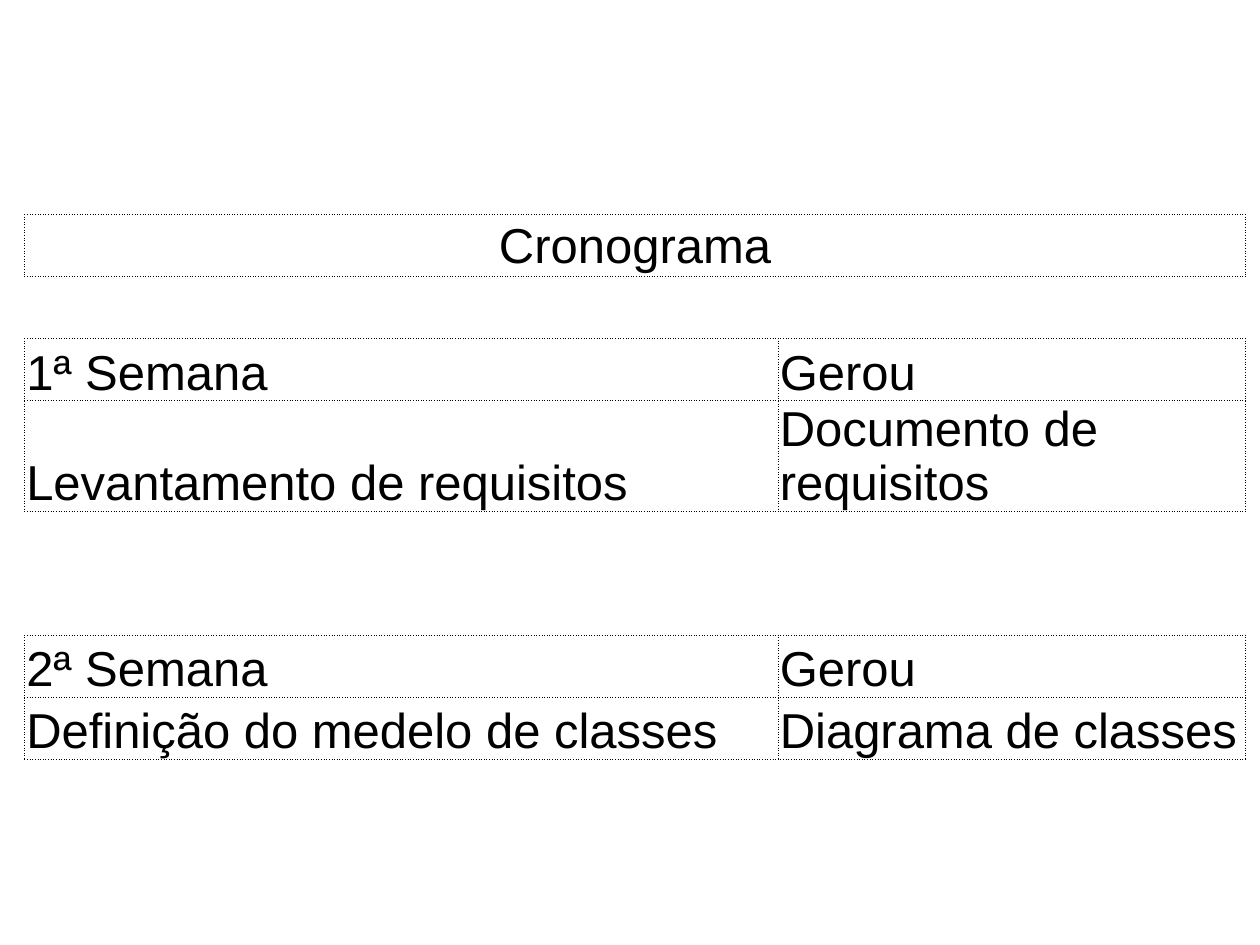
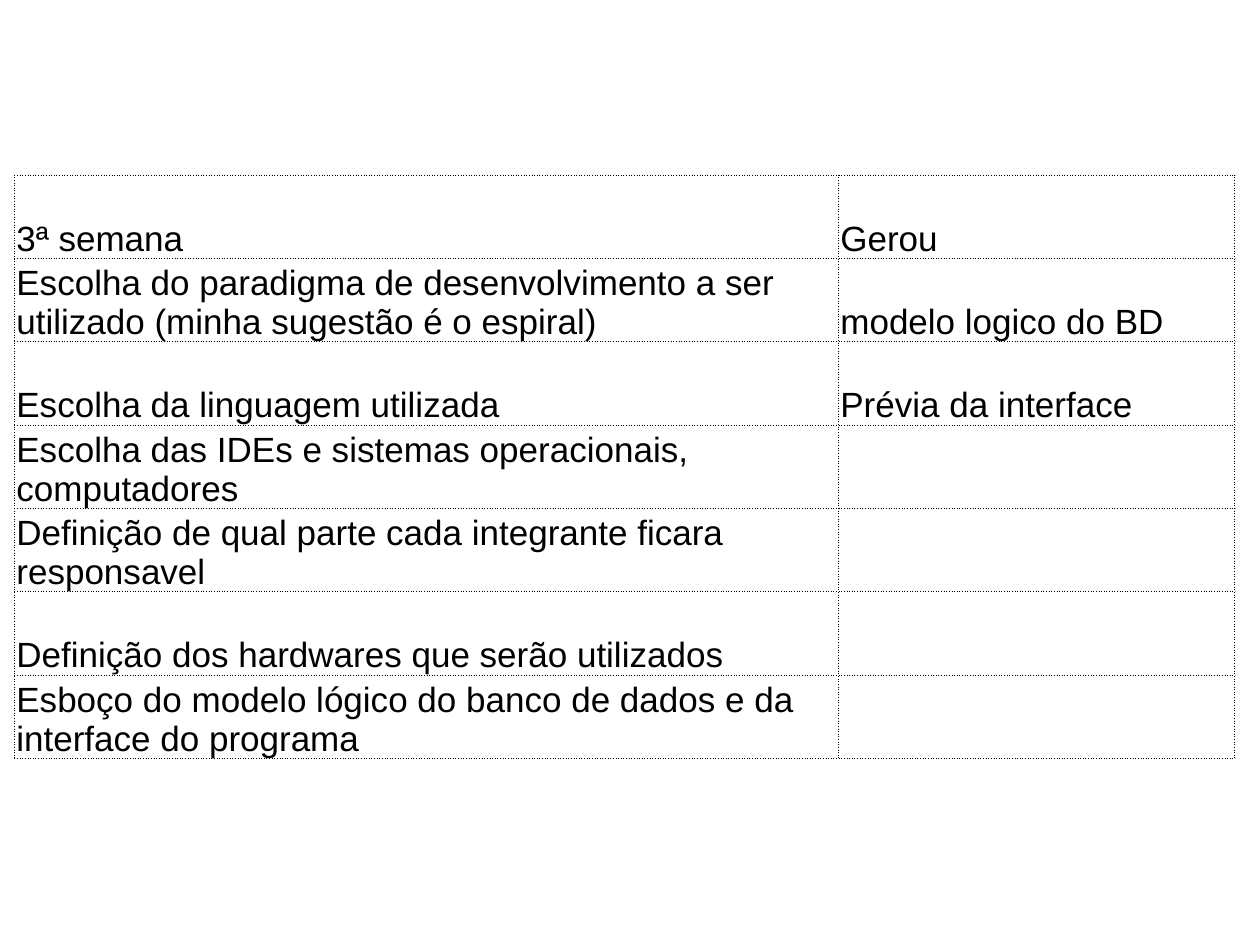
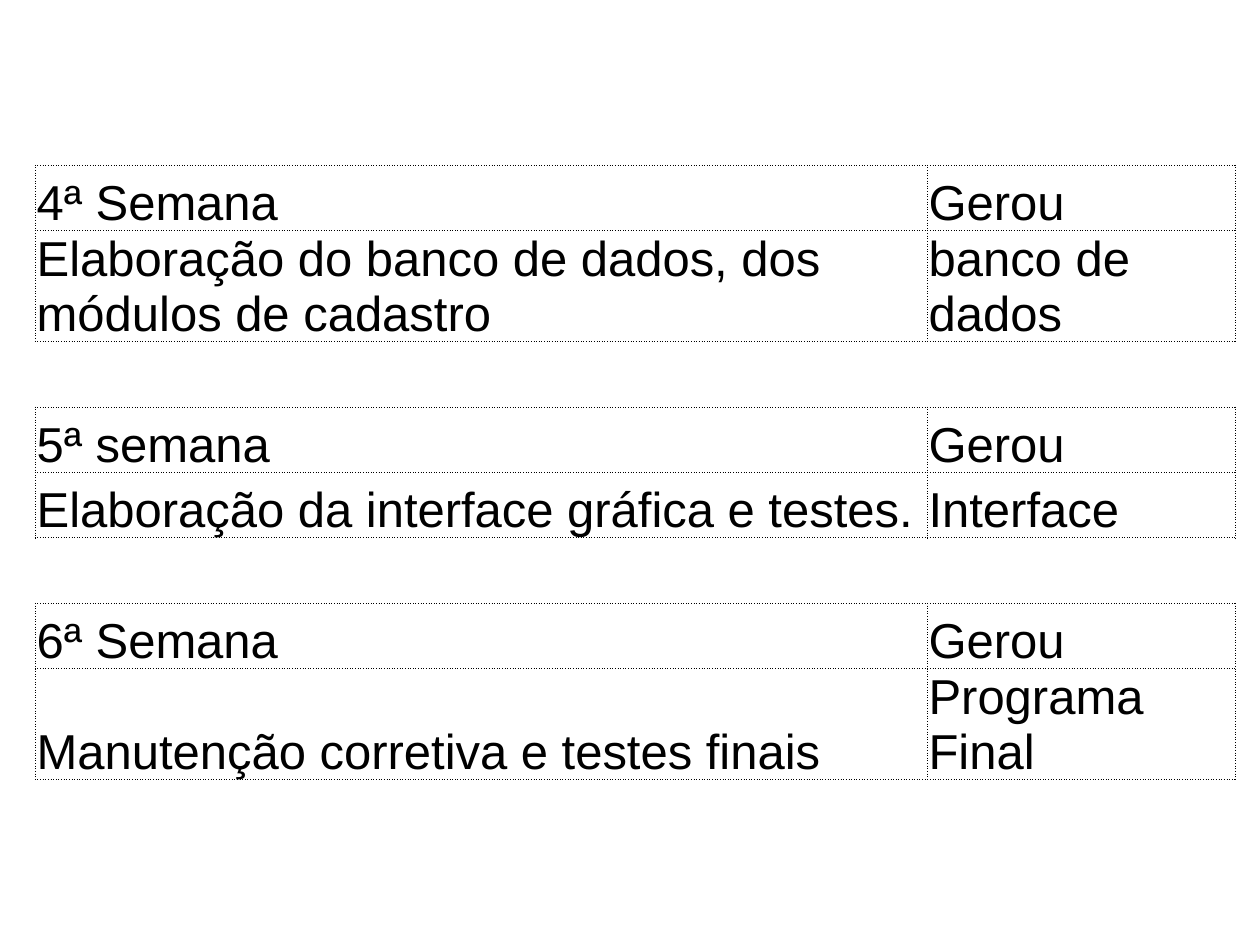
"""Builds a three-slide weekly project schedule made of dotted tables."""
from dataclasses import dataclass

from lxml.etree import SubElement
from pptx import Presentation
from pptx.dml.color import RGBColor
from pptx.enum.text import MSO_ANCHOR, PP_ALIGN
from pptx.oxml.ns import qn
from pptx.presentation import Presentation as Deck
from pptx.table import _Cell as Cell
from pptx.util import Cm, Pt

INK = RGBColor(0, 0, 0)
BORDER_WIDTH = Pt(0.5)
CELL_FORMAT = {
    "margin_left": Cm(0.03),
    "margin_right": Cm(0.03),
    "margin_top": Cm(0.03),
    "margin_bottom": Cm(0),
}
GAP = None
DONE = "Gerou"


@dataclass(frozen=True)
class Schedule:
    left: float
    top: float
    columns: tuple[float, float]
    row_height: float
    font_size: int
    rows: tuple[tuple[str, ...] | None, ...]


SCHEDULES = (
    Schedule(0.5, 4.32, (15.19, 9.41), 1.25, 28, (
        ("Cronograma",),
        GAP,
        ("1ª Semana", DONE),
        ("Levantamento de requisitos", "Documento de requisitos"),
        GAP,
        GAP,
        ("2ª Semana", DONE),
        ("Definição do medelo de classes", "Diagrama de classes"),
    )),
    Schedule(0.3, 3.53, (16.61, 7.98), 1.68, 20, (
        ("3ª semana", DONE),
        ("Escolha do paradigma de desenvolvimento a ser utilizado (minha sugestão é o espiral)",
         "modelo logico do BD"),
        ("Escolha da linguagem utilizada", "Prévia da interface"),
        ("Escolha das IDEs e sistemas operacionais, computadores", ""),
        ("Definição de qual parte cada integrante ficara responsavel", ""),
        ("Definição dos hardwares que serão utilizados", ""),
        ("Esboço do modelo lógico do banco de dados e da interface do programa", ""),
    )),
    Schedule(0.71, 3.33, (17.98, 6.22), 1.32, 28, (
        ("4ª Semana", DONE),
        ("Elaboração do banco de dados, dos módulos de cadastro", "banco de dados"),
        GAP,
        ("5ª semana", DONE),
        ("Elaboração da interface gráfica e testes.", "Interface"),
        GAP,
        ("6ª Semana", DONE),
        ("Manutenção corretiva e testes finais", "Programa Final"),
    )),
)


def draw_borders(cell: Cell, visible: str) -> None:
    properties = cell._tc.get_or_add_tcPr()
    for side in "LRTB":
        line = SubElement(properties, qn(f"a:ln{side}"), w=str(BORDER_WIDTH))
        if side in visible:
            fill = SubElement(line, qn("a:solidFill"))
            SubElement(fill, qn("a:srgbClr"), val=str(INK))
            SubElement(line, qn("a:prstDash"), val="sysDot")
        else:
            SubElement(line, qn("a:noFill"))


def visible_sides(rows: tuple, index: int) -> str:
    if rows[index] is not GAP:
        return "LRTB"
    above = "T" if rows[index - 1] is not GAP else ""
    below = "B" if rows[index + 1] is not GAP else ""
    return above + below


def write_cell(cell: Cell, text: str, size: int, heading: bool) -> None:
    for name, value in CELL_FORMAT.items():
        setattr(cell, name, value)
    cell.vertical_anchor = MSO_ANCHOR.MIDDLE if heading else MSO_ANCHOR.BOTTOM
    if not text:
        return
    para = cell.text_frame.paragraphs[0]
    para.alignment = PP_ALIGN.CENTER if heading else PP_ALIGN.LEFT
    span = para.add_run()
    span.text = text
    for name, value in {"name": "Arial", "size": Pt(size)}.items():
        setattr(span.font, name, value)
    span.font.color.rgb = INK


def add_schedule(deck: Deck, schedule: Schedule) -> None:
    page = deck.slides.add_slide(deck.slide_layouts[6])
    rows, widths = schedule.rows, schedule.columns
    table = page.shapes.add_table(
        len(rows), len(widths), Cm(schedule.left), Cm(schedule.top),
        Cm(sum(widths)), Cm(schedule.row_height * len(rows))).table
    table.first_row = table.horz_banding = False
    for column, width in zip(table.columns, widths):
        column.width = Cm(width)
    for index, texts in enumerate(rows):
        table.rows[index].height = Cm(schedule.row_height)
        heading = texts is not GAP and len(texts) == 1
        if heading:
            table.cell(index, 0).merge(table.cell(index, len(widths) - 1))
        for position, text in enumerate(texts or ("",) * len(widths)):
            cell = table.cell(index, position)
            draw_borders(cell, visible_sides(rows, index))
            cell.fill.background()
            write_cell(cell, text, schedule.font_size, heading)


def main() -> None:
    deck = Presentation()
    deck.slide_width, deck.slide_height = Cm(25.4), Cm(19.05)
    for schedule in SCHEDULES:
        add_schedule(deck, schedule)
    deck.save("out.pptx")


if __name__ == "__main__":
    main()
